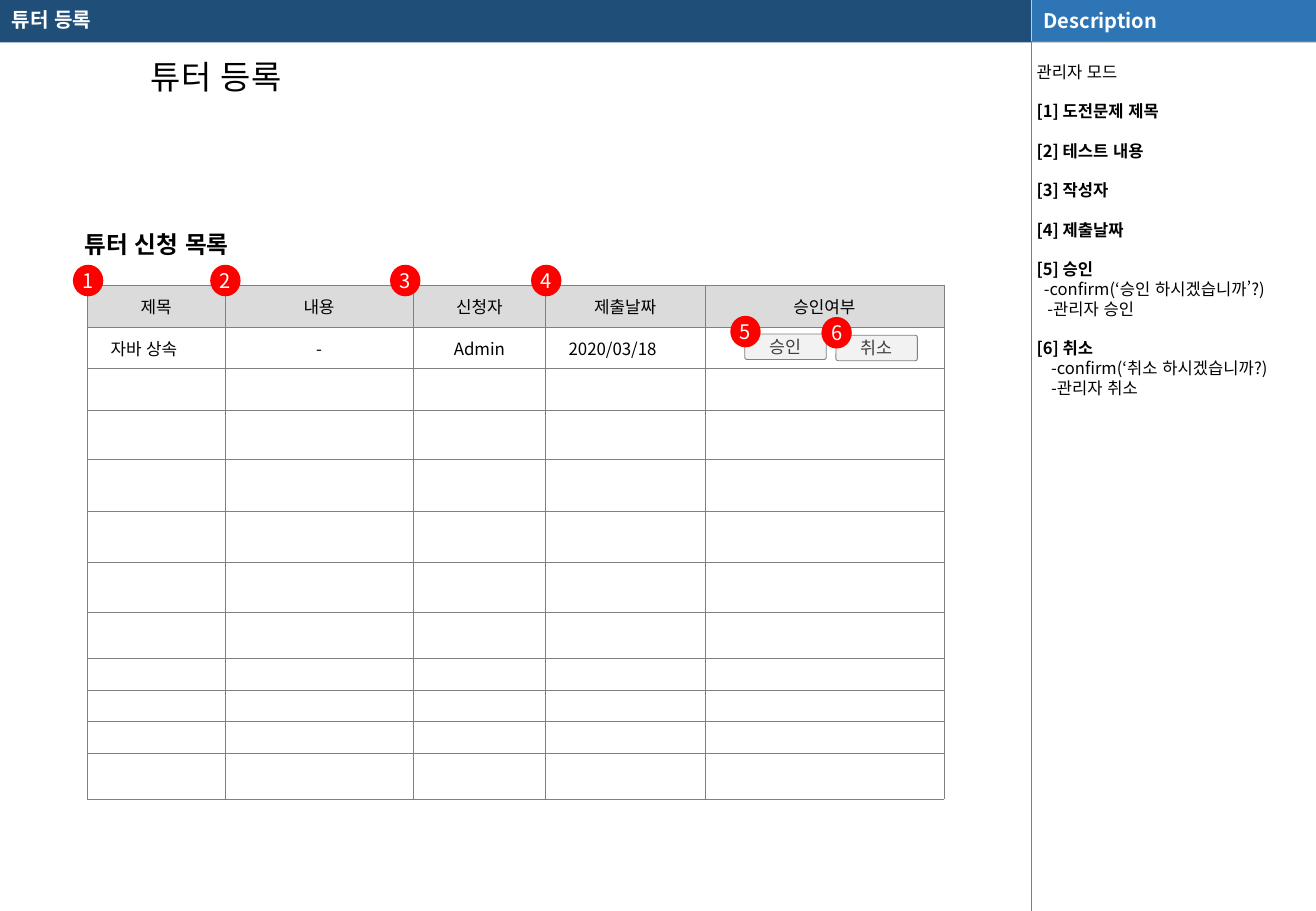
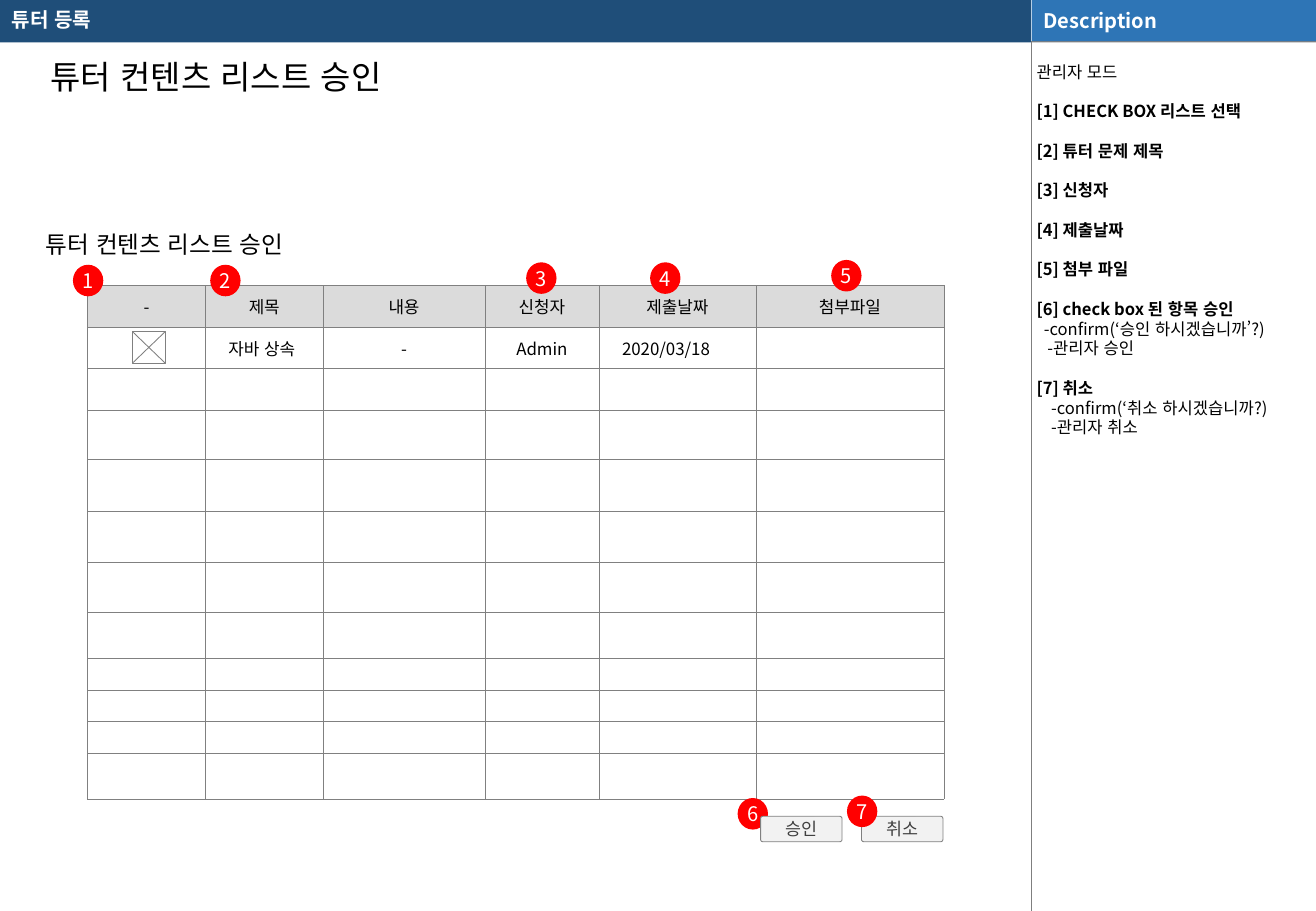
"""Builds two admin wireframe slides for tutor sign-up."""
from dataclasses import dataclass

from lxml import etree
from pptx import Presentation
from pptx import util as u
from pptx.dml.color import RGBColor
from pptx.enum import lang, shapes, text
from pptx.oxml.ns import qn

KIND = shapes.MSO_SHAPE
LEFT, MID = text.PP_ALIGN.LEFT, text.PP_ALIGN.CENTER
FONT = "Noto Sans CJK KR"


@dataclass(frozen=True)
class Theme:
    navy: str = "1F4E79"
    blue: str = "2E75B6"
    gray: str = "808080"
    rule: str = "7F7F7F"
    head: str = "DBDBDB"
    pale: str = "F2F2F2"
    dark: str = "404040"
    red: str = "FF0000"
    white: str = "FFFFFF"
    black: str = "000000"
    title: float = 19.5
    sub: float = 14
    band: float = 11.9
    push: float = 10.3
    cell: int = 10
    note: float = 9.8
    pitch: float = 11.7
    thin: float = 0.25
    edge: float = 0.5


T = Theme()
WIDTH, HEIGHT, SPLIT, BAND = 10.83, 7.5, 8.49, 0.35
ROWS = [0.34, 0.34, 0.35, 0.4, 0.43, 0.42, 0.41, 0.38, 0.26, 0.26, 0.26, 0.38]
APPROVE = [("-confirm(‘승인 하시겠습니까’?)", 0.06), ("-관리자 승인", 0.09)]
CANCEL = [("-confirm(‘취소 하시겠습니까?)", 0.12), ("-관리자 취소", 0.12)]


def rgb(code):
    return RGBColor.from_string(code)


class Deck:
    def __init__(self):
        self.prs = Presentation()
        self.prs.slide_width = u.Inches(WIDTH)
        self.prs.slide_height = u.Inches(HEIGHT)
        self.slide = None

    def style(self, para, size, color, bold=False, align=LEFT):
        para.alignment = align
        for run in para.runs:
            font = run.font
            font.size, font.bold, font.name = u.Pt(size), bold, FONT
            font.language_id = lang.MSO_LANGUAGE_ID.KOREAN
            font.color.rgb = rgb(color)
            etree.SubElement(run._r.rPr, qn("a:ea"), typeface=FONT)

    def inset(self, item, left, top, right, base):
        item.margin_left, item.margin_top = u.Inches(left), u.Inches(top)
        item.margin_right, item.margin_bottom = u.Inches(right), u.Inches(base)

    def shape(self, kind, x, y, w, h, fill, edge=None):
        shape = self.slide.shapes.add_shape(kind, *map(u.Inches, (x, y, w, h)))
        shape.shadow.inherit = False
        shape.fill.solid()
        shape.fill.fore_color.rgb = rgb(fill)
        if edge:
            shape.line.color.rgb = rgb(edge)
            shape.line.width = u.Pt(T.edge)
        else:
            shape.line.fill.background()
        return shape

    def label(self, frame, words, size, color, bold=False, align=MID):
        frame.text = words
        frame.vertical_anchor = text.MSO_ANCHOR.MIDDLE
        self.style(frame.paragraphs[0], size, color, bold, align)

    def line(self, x1, y1, x2, y2, color, width):
        ends = map(u.Inches, (x1, y1, x2, y2))
        line = self.slide.shapes.add_connector(shapes.MSO_CONNECTOR.STRAIGHT, *ends)
        line.line.color.rgb = rgb(color)
        line.line.width = u.Pt(width)
        etree.SubElement(line._element.spPr, qn("a:effectLst"))

    def box(self, x, y, w, h):
        box = self.slide.shapes.add_textbox(*map(u.Inches, (x, y, w, h)))
        box.text_frame.word_wrap = True
        return box.text_frame

    def page(self, name):
        self.slide = self.prs.slides.add_slide(self.prs.slide_layouts[6])
        side = WIDTH - SPLIT
        self.shape(KIND.RECTANGLE, 0, 0, SPLIT, BAND, T.navy)
        self.shape(KIND.RECTANGLE, SPLIT, 0, side, BAND, T.gray)
        self.line(SPLIT, 0, SPLIT, BAND, T.white, T.thin)
        self.line(SPLIT, 0.34, SPLIT, HEIGHT, T.rule, T.thin)
        tab = self.shape(KIND.RECTANGLE, SPLIT, 0, side, 0.34, T.blue)
        self.label(tab.text_frame, "Description", T.band, T.white, True, LEFT)
        self.label(self.box(0, 0, 8.25, 0.32), name, T.band, T.white, True, LEFT)

    def title(self, words, x, y, w, size, bold=False, align=LEFT):
        frame = self.box(x, y, w, 0.43)
        frame.text = words
        para = frame.paragraphs[0]
        para.line_spacing = u.Pt(size * 1.2)
        self.style(para, size, T.black, bold, align)

    def notes(self, heads):
        items = [("관리자 모드", 0)]
        for num, (head, subs) in enumerate(heads, 1):
            items += [(f"[{num}] {head}", 0), *subs]
        frame = self.box(SPLIT, BAND, WIDTH - SPLIT, HEIGHT - BAND)
        self.inset(frame, 0.04, 0.16, 0.04, 0)
        frame.text = "\n".join(words for words, _ in items)
        for spot, (para, (words, dent)) in enumerate(zip(frame.paragraphs, items)):
            para.line_spacing = u.Pt(T.pitch)
            if spot and not dent:
                para.space_before = u.Pt(T.pitch)
            if dent:
                para._p.get_or_add_pPr().set("marL", str(u.Inches(dent)))
            self.style(para, T.note, T.black, words.startswith("["))

    def cell(self, cell, words, fill, align, left):
        props = cell._tc.get_or_add_tcPr()
        for side in ("lnL", "lnR", "lnT", "lnB"):
            edge = etree.SubElement(props, qn(f"a:{side}"), w=str(u.Pt(T.thin)))
            paint = etree.SubElement(edge, qn("a:solidFill"))
            etree.SubElement(paint, qn("a:srgbClr"), val=T.gray)
        cell.fill.solid()
        cell.fill.fore_color.rgb = rgb(fill)
        cell.vertical_anchor = text.MSO_ANCHOR.MIDDLE
        self.inset(cell, left, 0.01, 0.04, 0)
        frame = cell.text_frame
        if words:
            frame.text = words
            self.style(frame.paragraphs[0], T.cell, T.black, align=align)
        else:
            para = frame.paragraphs[0]
            etree.SubElement(para._p, qn("a:endParaRPr"), sz=str(T.cell * 100))

    def table(self, cols, heads, entry):
        spot = map(u.Inches, (0.72, 2.35, sum(cols), sum(ROWS)))
        grid = self.slide.shapes.add_table(len(ROWS), len(cols), *spot).table
        grid.first_row = grid.horz_banding = False
        for col, width in zip(grid.columns, cols):
            col.width = u.Inches(width)
        for row, high in zip(grid.rows, ROWS):
            row.height = u.Inches(high)
        lines = [heads, entry] + [[""] * len(cols)] * (len(ROWS) - 2)
        for r, line in enumerate(lines):
            for c, words in enumerate(line):
                shift = r == 1 and words in ("자바 상속", "2020/03/18")
                self.cell(grid.cell(r, c), words, T.white if r else T.head,
                          LEFT if shift else MID, 0.19 if shift else 0.04)

    def button(self, words, x, y):
        push = self.shape(KIND.ROUNDED_RECTANGLE, x, y, 0.67, 0.21, T.pale, T.gray)
        push.adjustments[0] = 0.09
        self.inset(push.text_frame, *[0.05] * 4)
        self.label(push.text_frame, words, T.push, T.dark)

    def badges(self, spots, first=1):
        for num, (x, y) in enumerate(spots, first):
            dot = self.shape(KIND.OVAL, x, y, 0.25, 0.26, T.red)
            self.inset(dot.text_frame, *[0] * 4)
            dot.text_frame.word_wrap = False
            self.label(dot.text_frame, str(num), T.band, T.white)

    def check(self, x, y, w, h):
        self.shape(KIND.RECTANGLE, x, y, w, h, T.white, T.gray)
        self.line(x, y + h, x + w, y, T.gray, T.edge)
        self.line(x + w, y + h, x, y, T.gray, T.edge)


def signup(deck):
    deck.page("튜터 등록")
    deck.table([1.13, 1.55, 1.09, 1.31, 1.97],
               ["제목", "내용", "신청자", "제출날짜", "승인여부"],
               ["자바 상속", "-", "Admin", "2020/03/18", ""])
    deck.notes([("도전문제 제목", []), ("테스트 내용", []), ("작성자", []),
                ("제출날짜", []), ("승인", APPROVE), ("취소", CANCEL)])
    deck.title("튜터 등록", 0, 0.42, 3.56, T.title, align=MID)
    deck.title("튜터 신청 목록", 0.6, 1.84, 3, T.sub, True)
    deck.button("승인", 6.13, 2.75)
    deck.button("취소", 6.88, 2.76)
    deck.badges([(x, 2.18) for x in (0.6, 1.73, 3.21, 4.37)]
                + [(6.01, 2.6), (6.76, 2.61)])


def review(deck):
    deck.page("튜터 등록")
    deck.table([0.97, 0.97, 1.33, 0.94, 1.29, 1.55],
               ["-", "제목", "내용", "신청자", "제출날짜", "첨부파일"],
               ["", "자바 상속", "-", "Admin", "2020/03/18", ""])
    deck.notes([("CHECK BOX 리스트 선택", []), ("튜터 문제 제목", []),
                ("신청자", []), ("제출날짜", []), ("첨부 파일", []),
                ("check box 된 항목 승인", APPROVE), ("취소", CANCEL)])
    name = "튜터 컨텐츠 리스트 승인"
    deck.title(name, 0, 0.42, 3.56, T.title, align=MID)
    deck.title(name, 0.28, 1.84, 3, T.sub)
    deck.badges([(0.6, 2.18), (1.73, 2.18), (4.33, 2.16), (5.35, 2.16),
                 (6.84, 2.14), (6.07, 6.57)])
    deck.check(1.09, 2.73, 0.27, 0.26)
    deck.button("승인", 6.26, 6.72)
    deck.button("취소", 7.09, 6.72)
    deck.badges([(6.97, 6.55)], 7)


def main():
    deck = Deck()
    signup(deck)
    review(deck)
    deck.prs.save("out.pptx")


if __name__ == "__main__":
    main()
